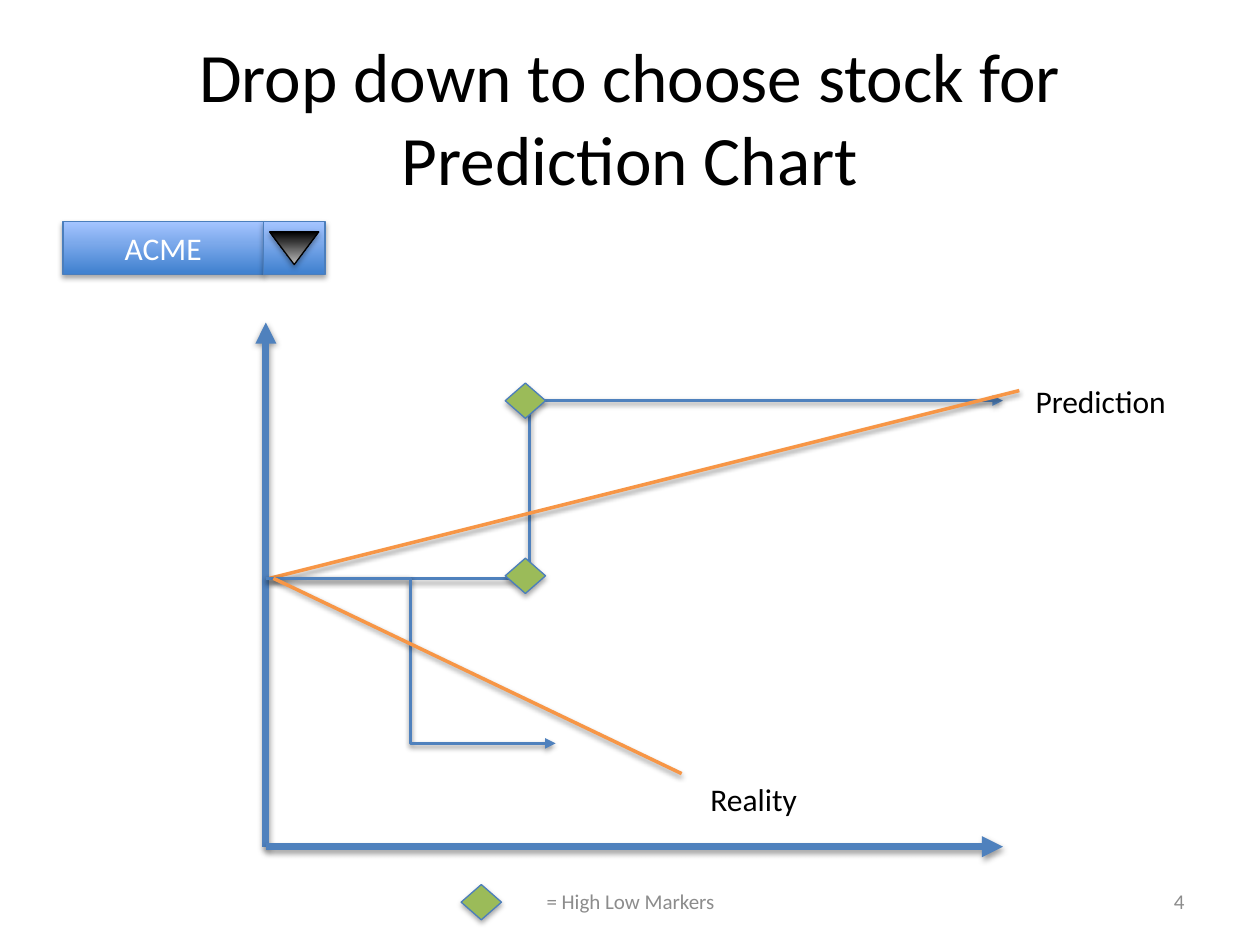
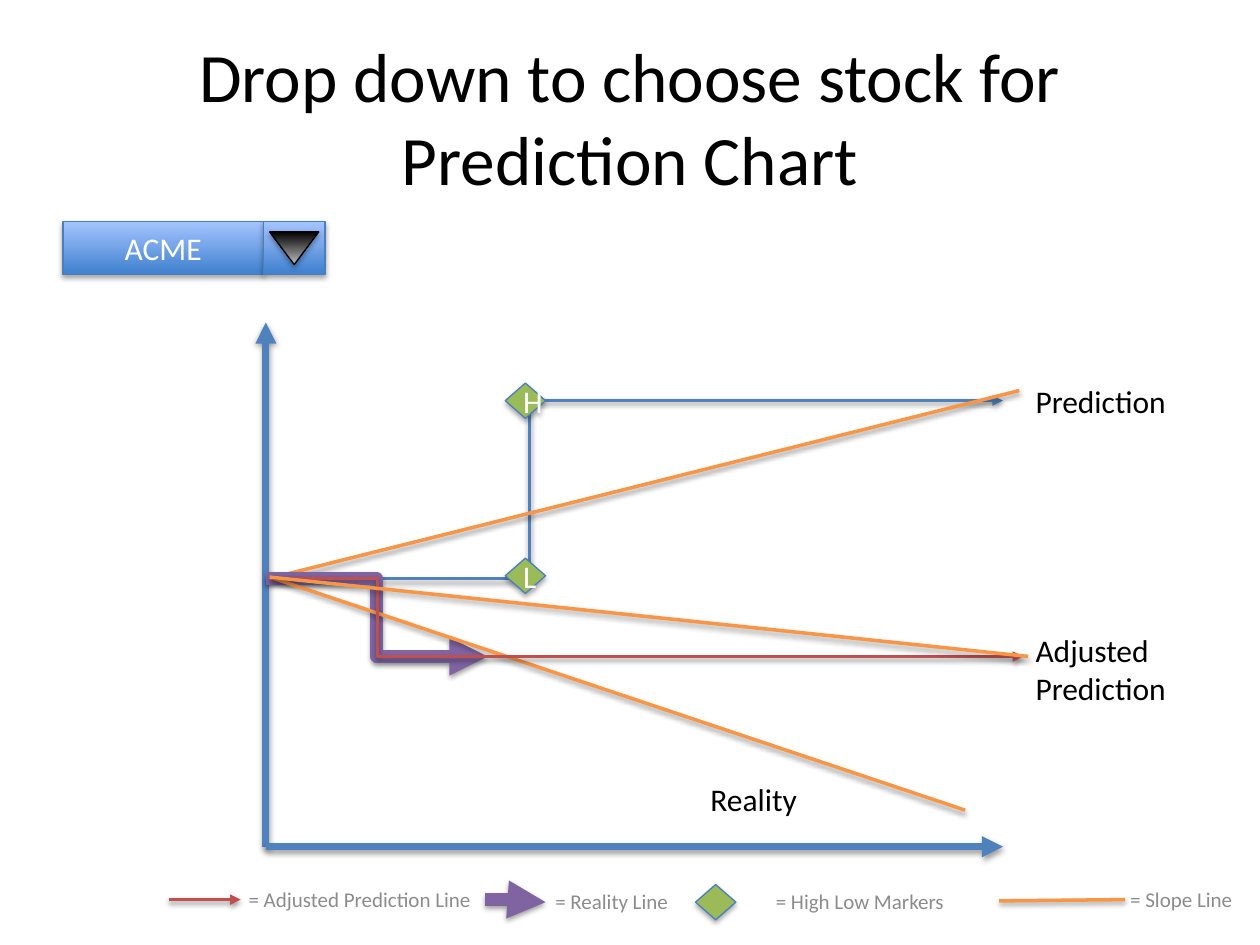
from pptx import Presentation
from pptx.dml.color import RGBColor
from pptx.enum.shapes import MSO_CONNECTOR, MSO_SHAPE
from pptx.enum.text import MSO_ANCHOR, PP_ALIGN
from pptx.oxml import parse_xml
from pptx.oxml.ns import nsdecls, qn
from pptx.util import Inches, Pt

STRAIGHT, ELBOW = MSO_CONNECTOR.STRAIGHT, MSO_CONNECTOR.ELBOW
RECTANGLE, TRIANGLE, DIAMOND = MSO_SHAPE.RECTANGLE, MSO_SHAPE.ISOSCELES_TRIANGLE, MSO_SHAPE.DIAMOND
LEFT, CENTER, RIGHT = PP_ALIGN.LEFT, PP_ALIGN.CENTER, PP_ALIGN.RIGHT
TOP, MIDDLE = MSO_ANCHOR.TOP, MSO_ANCHOR.MIDDLE

BLACK = RGBColor(0x00, 0x00, 0x00)
WHITE = RGBColor(0xFF, 0xFF, 0xFF)
GRAY = RGBColor(0x8C, 0x8C, 0x8C)
SILVER = RGBColor(0xBD, 0xBD, 0xBD)
BLUE = RGBColor(0x4F, 0x81, 0xBD)
EDGE_BLUE = RGBColor(0x4B, 0x7E, 0xBC)
DEEP_BLUE = RGBColor(0x3F, 0x80, 0xCE)
PALE_BLUE = RGBColor(0xA4, 0xC4, 0xFF)
GREEN = RGBColor(0x9B, 0xBB, 0x59)
ORANGE = RGBColor(0xF7, 0x96, 0x46)
PURPLE = RGBColor(0x80, 0x64, 0xA2)
RED = RGBColor(0xC0, 0x50, 0x4D)

FONT = "Calibri"
TITLE_FORMAT = {"size": Pt(39.6), "color": BLACK}
LABEL_FORMAT = {"size": Pt(18), "color": BLACK}
MARK_FORMAT = {"size": Pt(18), "color": WHITE}
FOOTER_FORMAT = {"size": Pt(12), "color": GRAY}

ORIGIN_X, ORIGIN_Y = 2.11, 6.72
AXIS_RIGHT, AXIS_TOP = 7.96, 2.56
START_Y = 4.59
ADJUSTED_Y = 5.21
FOOTER_Y, CAPTION_WIDTH = 6.95, 3.17


class ChartDeck:
    """Holds the deck, its style and the slide being drawn."""

    def __init__(self):
        self.deck = Presentation()
        self.deck.slide_width = Inches(10)
        self.deck.slide_height = Inches(7.5)
        self.slide = None

    def add_slide(self):
        self.slide = self.deck.slides.add_slide(self.deck.slide_layouts[6])

    def fill_text(self, frame, words, text_format, align):
        paragraph = frame.paragraphs[0]
        paragraph.alignment = align
        run = paragraph.add_run()
        run.text = words
        run.font.name = FONT
        run.font.size = text_format["size"]
        run.font.color.rgb = text_format["color"]

    def cast_shadow(self, element, opacity, distance):
        """Add a soft shadow straight below; call once fill and line are set."""
        element._element.spPr.append(parse_xml(
            f'<a:effectLst {nsdecls("a")}><a:outerShdw blurRad="{Pt(3.1)}" dist="{Pt(distance)}" '
            f'dir="5400000" rotWithShape="0"><a:srgbClr val="000000">'
            f'<a:alpha val="{opacity * 1000}"/></a:srgbClr></a:outerShdw></a:effectLst>'))

    def text(self, words, left, top, width, height, text_format,
             align=LEFT, anchor=TOP, wrap=True):
        box = self.slide.shapes.add_textbox(*map(Inches, (left, top, width, height)))
        frame_format = {"word_wrap": wrap, "vertical_anchor": anchor}
        for name, value in frame_format.items():
            setattr(box.text_frame, name, value)
        self.fill_text(box.text_frame, words, text_format, align)

    def label(self, words, left, top, width, height=0.4, wrap=False):
        self.text(words, left, top, width, height, LABEL_FORMAT, wrap=wrap)

    def caption(self, words, left, top=FOOTER_Y, width=CAPTION_WIDTH, align=CENTER):
        self.text(words, left, top, width, 0.4, FOOTER_FORMAT, align, MIDDLE)

    def shape(self, kind, left, top, width, height, colors, edge=EDGE_BLUE, words=""):
        """Draw a preset shape; two colors make a gradient from bottom to top."""
        shape = self.slide.shapes.add_shape(kind, *map(Inches, (left, top, width, height)))
        if len(colors) == 1:
            shape.fill.solid()
            shape.fill.fore_color.rgb = colors[0]
        else:
            shape.fill.gradient()
            shape.fill.gradient_angle = 90
            for stop, color in zip(shape.fill.gradient_stops, colors):
                stop.color.rgb = color
        shape.line.color.rgb = edge
        shape.line.width = Pt(0.75)
        self.cast_shadow(shape, 35, 1.8)
        if words:
            self.fill_text(shape.text_frame, words, MARK_FORMAT, CENTER)
        return shape

    def marker(self, left, top, letter=""):
        self.shape(DIAMOND, left, top, 0.32, 0.28, [GREEN], words=letter)

    def line(self, start, end, color, width=2, arrow=False, bend=None):
        """Draw a line; bend is the share of the way across where an elbow turns."""
        kind = STRAIGHT if bend is None else ELBOW
        line = self.slide.shapes.add_connector(kind, *map(Inches, (*start, *end)))
        line.line.color.rgb = color
        line.line.width = Pt(width)
        if arrow:
            line.line._get_or_add_ln().append(
                parse_xml(f'<a:tailEnd {nsdecls("a")} type="triangle"/>'))
        if bend is not None:
            adjustments = line._element.spPr.find(qn("a:prstGeom")).get_or_add_avLst()
            adjustments.append(parse_xml(
                f'<a:gd {nsdecls("a")} name="adj1" fmla="val {round(bend * 100000)}"/>'))
        self.cast_shadow(line, 38, 1.6)

    def slope(self, start, end):
        self.line(start, end, ORANGE)

    def step(self, start, end, color, bend=0.5, width=2):
        self.line(start, end, color, width, arrow=True, bend=bend)

    def stock_picker(self, ticker):
        face = [DEEP_BLUE, PALE_BLUE]
        self.shape(RECTANGLE, 0.5, 1.76, 1.59, 0.42, face, words=ticker)
        self.shape(RECTANGLE, 2.09, 1.76, 0.49, 0.42, face)
        drop_arrow = self.shape(TRIANGLE, 2.14, 1.84, 0.39, 0.26, [BLACK, SILVER], BLACK)
        drop_arrow.rotation = 180

    def prediction_chart(self):
        """Start a slide with everything that both charts share."""
        self.add_slide()
        self.text("Drop down to choose stock for Prediction Chart",
                  0.5, 0.3, 9, 1.25, TITLE_FORMAT, CENTER, MIDDLE)
        for axis_end in ((ORIGIN_X, AXIS_TOP), (AXIS_RIGHT, ORIGIN_Y)):
            self.line((ORIGIN_X, ORIGIN_Y), axis_end, BLUE, 4, arrow=True)
        self.step((ORIGIN_X, START_Y), (AXIS_RIGHT, 3.18), BLUE, 0.358)
        self.stock_picker("ACME")
        self.slope((2.14, START_Y), (8.09, 3.1))
        self.label("Reality", 5.54, 6.14, 0.9)
        self.label("Prediction", 8.12, 2.98, 1.25)

    def reality(self, step_end, slope_end, color, width):
        self.step((ORIGIN_X, START_Y), step_end, color, width=width)
        self.slope((2.17, START_Y), slope_end)

    def high_low_markers(self, legend_left, caption_left, letters=("", "")):
        for top, letter in zip((3.04, 4.43), letters):
            self.marker(4.01, top, letter)
        self.marker(legend_left, 7.02)
        self.caption("= High Low Markers", caption_left)


def build_prediction(deck):
    deck.prediction_chart()
    deck.reality((4.41, 5.9), (5.41, 6.14), BLUE, 2)
    deck.high_low_markers(3.66, 3.42)
    deck.caption("4", 7.17, width=2.33, align=RIGHT)


def build_adjusted_prediction(deck):
    deck.prediction_chart()
    deck.reality((3.87, ADJUSTED_Y), (7.66, 6.43), PURPLE, 7.25)
    deck.high_low_markers(5.52, 5.24, ("H", "L"))

    deck.step((2.14, START_Y), (8.12, ADJUSTED_Y), RED, 0.143)
    deck.label("Adjusted Prediction", 8.12, 4.96, 1.61, 0.71, wrap=True)
    deck.slope((2.14, 4.58), (8.16, ADJUSTED_Y))

    deck.step((3.85, 7.14), (4.33, 7.16), PURPLE, width=7.25)
    deck.caption("= Reality Line", 3.27)
    deck.slope((7.93, 7.15), (8.93, 7.14))
    deck.caption("= Slope Line", 7.79, 6.94)
    deck.step((1.34, 7.14), (1.91, 7.14), RED)
    deck.caption("= Adjusted Prediction Line", 1.27, 6.94)


def main():
    chart_deck = ChartDeck()
    build_prediction(chart_deck)
    build_adjusted_prediction(chart_deck)
    chart_deck.deck.save("out.pptx")


if __name__ == "__main__":
    main()
